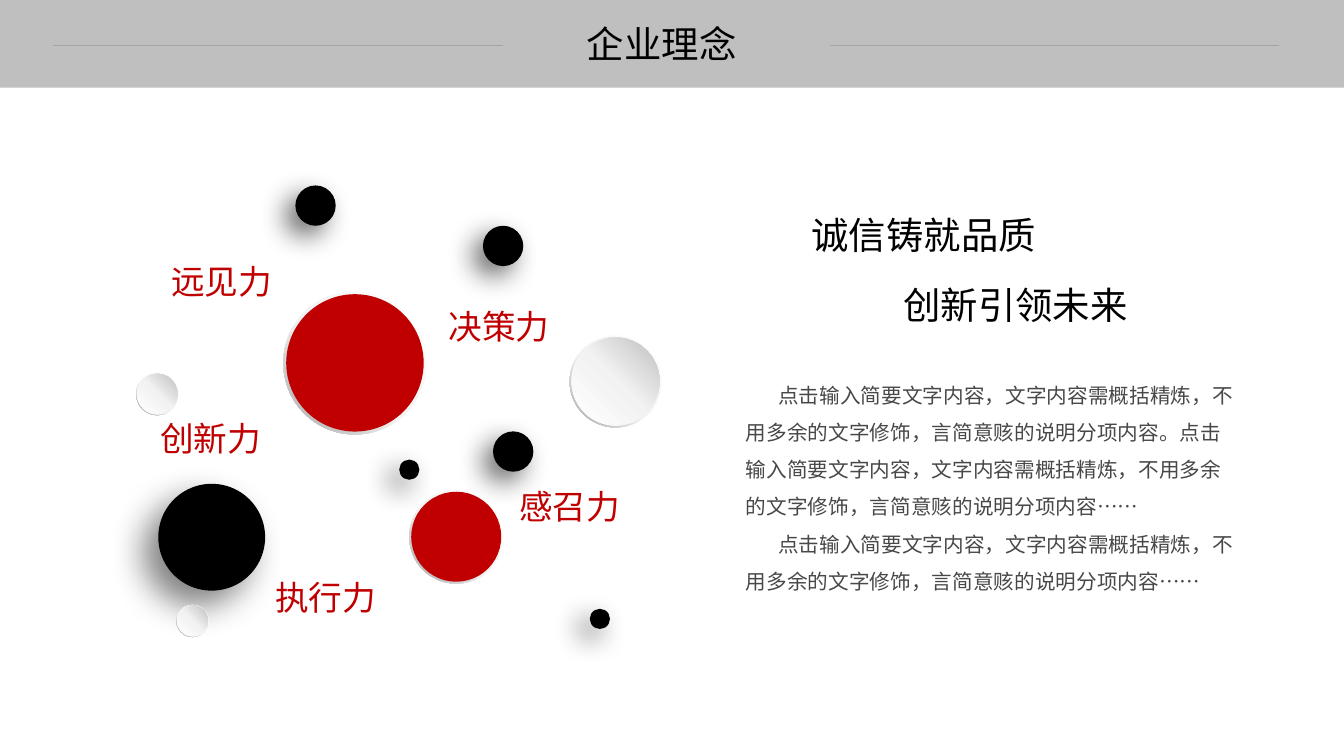
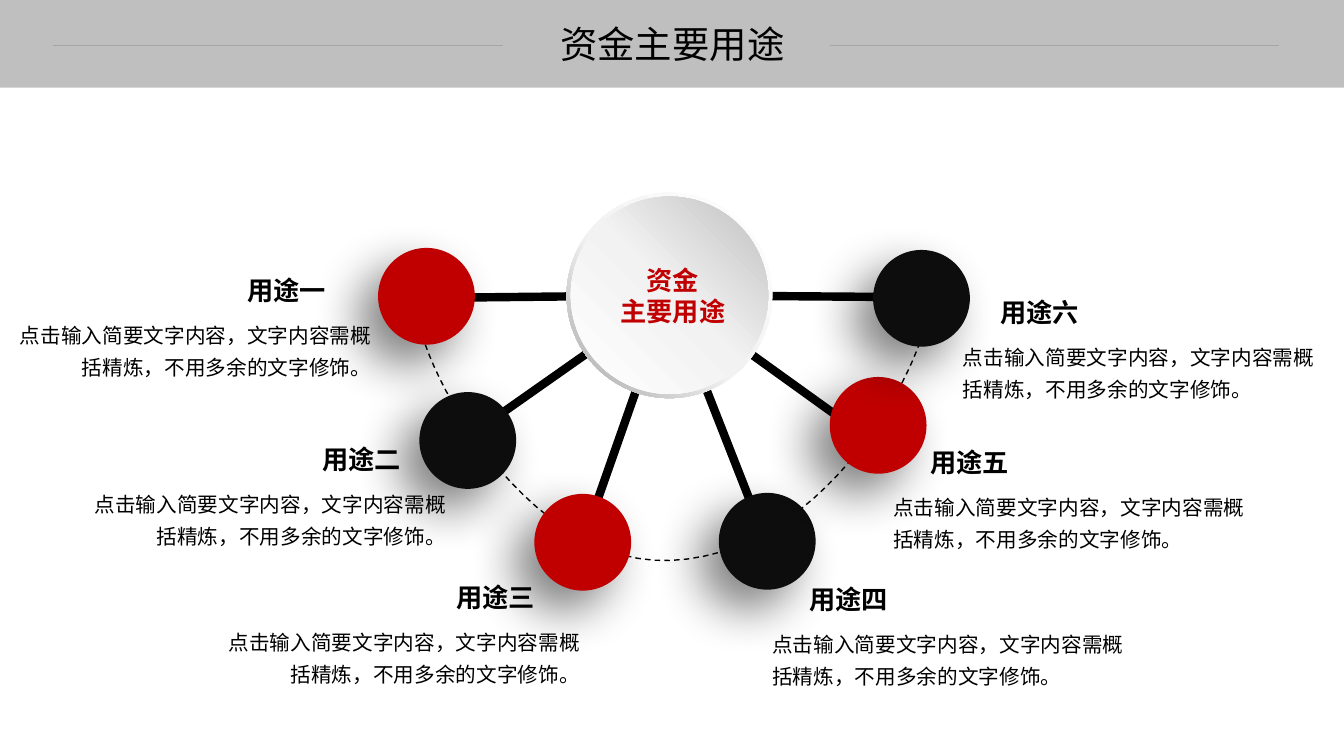
from dataclasses import dataclass

from lxml.etree import SubElement
from pptx import Presentation
from pptx.dml.color import RGBColor
from pptx.enum.dml import MSO_LINE
from pptx.enum.shapes import MSO_CONNECTOR, MSO_SHAPE
from pptx.enum.text import MSO_AUTO_SIZE, PP_ALIGN
from pptx.oxml import parse_xml
from pptx.oxml.ns import nsdecls, qn
from pptx.util import Inches, Pt


@dataclass(frozen=True)
class Theme:
    font: str = "Noto Sans CJK SC"
    band: str = "BFBFBF"
    rule: str = "A5A5A5"
    red: str = "C00000"
    black: str = "000000"
    node: str = "0D0D0D"
    body: str = "484848"
    title_pt: float = 26.7
    keyword_pt: float = 24
    label_pt: float = 18.7
    body_pt: float = 14.7
    rim: tuple = (135, ((0, "FFFFFF"), (55, "F2F2F2"), (100, "A6A6A6")))
    pearl: tuple = (315, ((0, "FFFFFF"), (51, "F2F2F2"), (100, "BFBFBF")))
    dot_shadow: tuple = (60, 20, 10)
    disc_shadow: tuple = (50, 25, 15)
    node_shadow: tuple = (50, 35, 20)


T = Theme()
W, H = 13.33, 7.5
BAND_H, RULE_Y, RULE_W = 0.87, 0.45, 4.46
RULES_X = (0.53, 8.23)

SLOGANS = [("诚信铸就品质", 7.95, 2.06), ("创新引领未来", 8.86, 2.75)]
KEYWORDS = [
    ("远见力", 1.6, 2.54),
    ("执行力", 2.63, 5.67),
    ("感召力", 5.05, 4.77),
    ("决策力", 4.35, 2.99),
    ("创新力", 1.49, 4.1),
]
RINGED = [
    (2.81, 2.89, 1.42, T.red),
    (5.65, 3.33, 0.91, T.pearl),
    (1.75, 6, 0.32, T.pearl),
    (1.35, 3.7, 0.42, T.pearl),
    (4.06, 4.86, 0.93, T.red),
]
DOTS = [
    (1.57, 4.8, 1.06, T.disc_shadow),
    (4.89, 4.28, 0.4, T.dot_shadow),
    (4.79, 2.24, 0.4, T.dot_shadow),
    (5.85, 6.04, 0.2, T.dot_shadow),
    (2.93, 1.84, 0.4, T.dot_shadow),
    (3.96, 4.56, 0.2, T.dot_shadow),
]
SENTENCE = "点击输入简要文字内容，文字内容需概括精炼，不用多余的文字修饰"
DETAIL = SENTENCE + "，言简意赅的说明分项内容"
PHILOSOPHY = [DETAIL + "。" + DETAIL + "……", DETAIL + "……"]

HUB = (6.64, 2.93)
HUB_D, NODE_D = 2.04, 0.96
HUB_TEXT = ["资金", "主要用途"]
USES = [
    # name, label corner, node corner, spoke end, colour
] + [
    ("用途一", (2.35, 2.67), (3.75, 2.46), (3.85, 2.96), T.red),
    ("用途二", (3.09, 4.35), (4.16, 3.89), (4.45, 4.47), T.node),
    ("用途三", (4.42, 5.72), (5.3, 4.9), (5.73, 5.52), T.red),
    ("用途四", (7.93, 5.74), (7.13, 4.89), (7.62, 5.43), T.node),
    ("用途五", (9.13, 4.38), (8.23, 3.74), (8.78, 4.47), T.red),
    ("用途六", (9.82, 2.89), (8.66, 2.48), (9.35, 2.95), T.node),
]
ARC = [
    ((4.21, 2.94), (4.58, 2.96), (8.77, 2.89), (9.2, 3)),
    ((9.2, 3), (9.28, 3.33), (8.33, 5.49), (6.65, 5.56)),
    ((6.65, 5.56), (4.98, 5.63), (3.83, 2.93), (4.21, 2.94)),
]
ARC_STEPS = 30


def rgb(code):
    return RGBColor.from_string(code)


def add_text(s, lines, x, y, w, h, size, color, align=PP_ALIGN.LEFT,
             bold=False, wrap=False, spacing=None, indent=0):
    tf = s.shapes.add_textbox(*map(Inches, (x, y, w, h))).text_frame
    tf.word_wrap = wrap
    tf.auto_size = MSO_AUTO_SIZE.SHAPE_TO_FIT_TEXT
    for i, line in enumerate(lines):
        p = tf.add_paragraph() if i else tf.paragraphs[0]
        p.text = line
        p.alignment = align
        if spacing:
            p.line_spacing = spacing
        if indent:
            p._p.get_or_add_pPr().set("indent", str(Inches(indent)))
        r = p.runs[0]
        r.font.name, r.font.size, r.font.bold = T.font, Pt(size), bold
        r.font.color.rgb = rgb(color)
        SubElement(r._r.get_or_add_rPr(), qn("a:ea")).set("typeface", T.font)


def add_shape(s, kind, x, y, w, h, fill, shadow=None):
    sp = s.shapes.add_shape(kind, *map(Inches, (x, y, w, h)))
    if isinstance(fill, str):
        sp.fill.solid()
        sp.fill.fore_color.rgb = rgb(fill)
    else:
        angle, stops = fill
        gs = "".join(f'<a:gs pos="{pos * 1000}"><a:srgbClr val="{c}"/></a:gs>'
                     for pos, c in stops)
        sp._element.spPr.insert(2, parse_xml(
            f'<a:gradFill {nsdecls("a")}><a:gsLst>{gs}</a:gsLst>'
            f'<a:lin ang="{angle * 60000}" scaled="0"/></a:gradFill>'))
    sp.line.fill.background()
    sp.shadow.inherit = False
    if shadow:
        alpha, blur, dist = shadow
        sp._element.spPr.find(qn("a:effectLst")).append(parse_xml(
            f'<a:outerShdw {nsdecls("a")} blurRad="{Pt(blur)}" dist="{Pt(dist)}" '
            f'dir="{135 * 60000}" algn="tr" rotWithShape="0">'
            f'<a:srgbClr val="{T.black}"><a:alpha val="{alpha * 1000}"/></a:srgbClr>'
            '</a:outerShdw>'))
    return sp


def add_dot(s, x, y, d, fill, shadow=None):
    add_shape(s, MSO_SHAPE.OVAL, x, y, d, d, fill, shadow)


def add_ringed(s, x, y, d, fill):
    ring = add_shape(s, MSO_SHAPE.DONUT, x, y, d, d, T.rim)
    ring.adjustments[0] = 0.049
    add_dot(s, x + d * 0.02, y + d * 0.02, d * 0.96, fill)


def add_line(s, start, end, color, width):
    cx = s.shapes.add_connector(MSO_CONNECTOR.STRAIGHT, *map(Inches, start + end))
    cx.line.color.rgb = rgb(color)
    cx.line.width = Pt(width)
    SubElement(cx._element.spPr, qn("a:effectLst"))


def bezier(points, t):
    weights = ((1 - t) ** 3, 3 * t * (1 - t) ** 2, 3 * t * t * (1 - t), t ** 3)
    return tuple(Inches(sum(k * v for k, v in zip(weights, axis)))
                 for axis in zip(*points))


def add_arc(s):
    points = [bezier(c, i / ARC_STEPS) for c in ARC for i in range(1, ARC_STEPS + 1)]
    fb = s.shapes.build_freeform(*points[-1])
    fb.add_line_segments(points[:-1], close=True)
    sp = fb.convert_to_shape()
    sp.fill.background()
    sp.line.color.rgb = rgb(T.black)
    sp.line.width = Pt(1)
    sp.line.dash_style = MSO_LINE.DASH
    sp.shadow.inherit = False


def new_slide(prs, title, title_w):
    s = prs.slides.add_slide(prs.slide_layouts[6])
    add_shape(s, MSO_SHAPE.RECTANGLE, 0, 0, W, BAND_H, T.band)
    add_text(s, [title], 5.41, 0.16, title_w, 0.55, T.title_pt, T.black,
             PP_ALIGN.CENTER, wrap=True)
    for x in RULES_X:
        add_line(s, (x, RULE_Y), (x + RULE_W, RULE_Y), T.rule, 0.75)
    return s


def philosophy_slide(prs):
    s = new_slide(prs, "企业理念", 2.31)
    for text, x, y in SLOGANS:
        add_text(s, [text], x, y, 2.44, 0.55, T.title_pt, T.black)
    for text, x, y in KEYWORDS:
        add_text(s, [text], x, y, 1.21, 0.5, T.keyword_pt, T.red)
    for x, y, d, shadow in DOTS:
        add_dot(s, x, y, d, T.black, shadow)
    for ball in RINGED:
        add_ringed(s, *ball)
    add_text(s, PHILOSOPHY, 7.3, 3.63, 5.04, 2.69, T.body_pt, T.body,
             wrap=True, spacing=1.5, indent=0.32)


def funds_slide(prs):
    s = new_slide(prs, "资金主要用途", 2.52)
    add_arc(s)
    for _, _, _, end, _ in USES:
        add_line(s, HUB, end, T.black, 6)
    for _, _, node, _, color in USES:
        add_dot(s, *node, NODE_D, color, T.node_shadow)
    for name, (x, y), _, _, _ in USES:
        left = x < HUB[0]
        add_text(s, [name], x, y, 0.99, 0.42, T.label_pt, T.black,
                 PP_ALIGN.CENTER if left else PP_ALIGN.LEFT, bold=True)
        add_text(s, [SENTENCE + "。"], x - (2.3 if left else 0.37), y + 0.41,
                 3.73, 0.74, T.body_pt, T.black,
                 PP_ALIGN.RIGHT if left else PP_ALIGN.LEFT, wrap=True, spacing=1.3)
    add_ringed(s, HUB[0] - HUB_D / 2, HUB[1] - HUB_D / 2, HUB_D, T.pearl)
    add_text(s, HUB_TEXT, 6.05, 2.57, 1.25, 0.73, T.label_pt, T.red,
             PP_ALIGN.CENTER, bold=True)


def main():
    prs = Presentation()
    prs.slide_width, prs.slide_height = Inches(W), Inches(H)
    philosophy_slide(prs)
    funds_slide(prs)
    prs.save("out.pptx")


if __name__ == "__main__":
    main()
